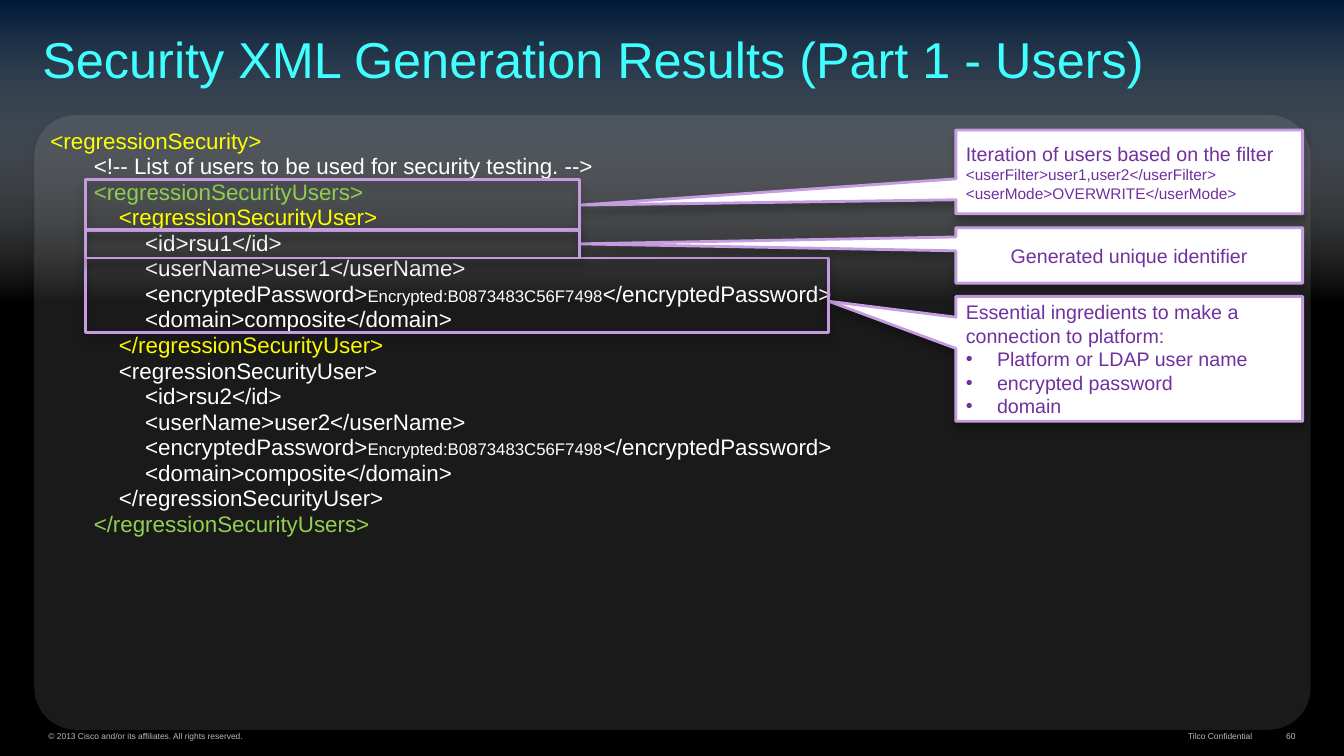
from lxml.etree import SubElement
from pptx import Presentation
from pptx.dml.color import RGBColor as Rgb
from pptx.enum.shapes import MSO_SHAPE as Preset
from pptx.enum.text import MSO_ANCHOR as Anchor, PP_ALIGN as Align
from pptx.oxml.ns import qn
from pptx.util import Inches, Pt

BLACK = Rgb(0x00, 0x00, 0x00)
WHITE = Rgb(0xFF, 0xFF, 0xFF)
NAVY = Rgb(0x00, 0x1A, 0x38)
CYAN = Rgb(0x40, 0xFF, 0xFE)
YELLOW = Rgb(0xFF, 0xFF, 0x00)
GREEN = Rgb(0x92, 0xD0, 0x50)
SILVER = Rgb(0xC0, 0xC0, 0xC0)
LILAC = Rgb(0xC5, 0x9C, 0xDF)
PURPLE = Rgb(0x70, 0x30, 0xA0)


def write(paragraph, text, size=16, color=WHITE, font="Arial"):
    """Add one formatted run to a paragraph."""
    run = paragraph.add_run()
    run.text = text
    run.font.size = Pt(size)
    run.font.name = font
    run.font.color.rgb = color


def set_alpha(color_element, percent):
    """Give a colour element an opacity."""
    SubElement(color_element, qn("a:alpha"), val=str(percent * 1000))


class SlidePainter:
    """Draws styled elements placed in percent of the slide size."""

    def __init__(self, deck):
        """Start a blank slide on black."""
        self.width, self.height = deck.slide_width, deck.slide_height
        self.slide = deck.slides.add_slide(deck.slide_layouts[6])
        self.slide.background.fill.solid()
        self.slide.background.fill.fore_color.rgb = BLACK

    def place(self, left, top, width, height):
        """Turn percentages into slide lengths."""
        return (round(self.width * left / 100), round(self.height * top / 100),
                round(self.width * width / 100), round(self.height * height / 100))

    def shape(self, preset, box, shadow=None):
        """Add a bare shape, with a shadow of opacity, blur and distance."""
        shape = self.slide.shapes.add_shape(preset, *self.place(*box))
        shape.shadow.inherit = False
        shape.line.fill.background()
        if shadow:
            opacity, blur, distance = shadow
            effects = shape._element.spPr.find(qn("a:effectLst"))
            outer = SubElement(effects, qn("a:outerShdw"), blurRad=str(Pt(blur)),
                               dist=str(Pt(distance)), dir="5400000", rotWithShape="0")
            set_alpha(SubElement(outer, qn("a:srgbClr"), val=str(BLACK)), opacity)
        return shape

    def fading_band(self, box):
        """Add a band that fades out downwards."""
        band = self.shape(Preset.RECTANGLE, box)
        band.fill.gradient()
        band.fill.gradient_angle = 270
        for stop, position, color in zip(band.fill.gradient_stops, (0, 1), (NAVY, WHITE)):
            stop.position = position
            stop.color.rgb = color
        set_alpha(band._element.spPr.findall(".//" + qn("a:srgbClr"))[-1], 0)

    def panel(self, box):
        """Add the translucent rounded panel."""
        panel = self.shape(Preset.ROUNDED_RECTANGLE, box, shadow=(44, 10, 5))
        panel.adjustments[0] = 0.068
        panel.fill.solid()
        panel.fill.fore_color.rgb = WHITE
        set_alpha(panel._element.spPr.find(".//" + qn("a:srgbClr")), 10)

    def text_frame(self, box, anchor, inset):
        """Add a text box and return its frame."""
        frame = self.slide.shapes.add_textbox(*self.place(*box)).text_frame
        frame.word_wrap = True
        frame.vertical_anchor = anchor
        frame.margin_left = frame.margin_right = Inches(0.09)
        frame.margin_top = frame.margin_bottom = Inches(inset)
        return frame

    def label(self, box, text, size, color, align=Align.LEFT, spacing=1.0, inset=0.04):
        """Add a line of text at the bottom of its box."""
        line = self.text_frame(box, Anchor.BOTTOM, inset).paragraphs[0]
        line.alignment = align
        line.line_spacing = spacing
        write(line, text, size=size, color=color)

    def listing(self, box, lines):
        """Add indented markup lines made of coloured runs."""
        frame = self.text_frame(box, Anchor.TOP, 0.05)
        for index, (indent, runs) in enumerate(lines):
            line = frame.add_paragraph() if index else frame.paragraphs[0]
            line.line_spacing = 0.95
            line._p.get_or_add_pPr().set("marL", str(Inches(indent)))
            for text, style in runs:
                write(line, text, **style)

    def outline(self, shape):
        """Apply the lilac border."""
        shape.line.color.rgb = LILAC
        shape.line.width = Pt(2)

    def callout(self, box, target, paragraphs, align=Align.LEFT, tip=0.5):
        """Add a callout pointing at the right edge of a framed area."""
        note = self.shape(Preset.RECTANGULAR_CALLOUT, box, shadow=(27, 6, 4))
        left, top, width, height = box
        note.adjustments[0] = (target[0] + target[2] - left) / width - 0.5
        note.adjustments[1] = (target[1] + target[3] * tip - top) / height - 0.5
        note.fill.solid()
        note.fill.fore_color.rgb = WHITE
        self.outline(note)
        note.text_frame.word_wrap = True
        note.text_frame.vertical_anchor = Anchor.MIDDLE
        for index, (bulleted, runs) in enumerate(paragraphs):
            line = note.text_frame.add_paragraph() if index else note.text_frame.paragraphs[0]
            line.alignment = align
            if bulleted:
                properties = line._p.get_or_add_pPr()
                properties.set("marL", str(Inches(0.31)))
                properties.set("indent", str(Inches(-0.31)))
                SubElement(properties, qn("a:buFont"), typeface="Arial")
                SubElement(properties, qn("a:buChar"), char="•")
            for text, size in runs:
                write(line, text, size=size, color=PURPLE)
        area = self.shape(Preset.RECTANGLE, target, shadow=(27, 6, 4))
        area.fill.background()
        self.outline(area)


ROOT, LIST, USER, FIELD = 0.07, 0.5, 0.75, 1.01


def markup(indent, text, color=WHITE):
    """Describe a one-colour markup line."""
    return indent, [(text, {"color": color})]


def user_markup(number, tag_color):
    """Describe the markup of one generated user."""
    return [
        markup(USER, "<regressionSecurityUser>", tag_color),
        markup(FIELD, f"<id>rsu{number}</id>"),
        markup(FIELD, f"<userName>user{number}</userName>"),
        (FIELD, [("<encryptedPassword>", {}),
                 ("Encrypted:B0873483C56F7498", {"size": 12}),
                 ("</encryptedPassword>", {})]),
        markup(FIELD, "<domain>composite</domain>"),
        markup(USER, "</regressionSecurityUser>", tag_color),
    ]


def main():
    """Build and save the slide."""
    deck = Presentation()
    deck.slide_width, deck.slide_height = Inches(13.33), Inches(7.5)
    painter = SlidePainter(deck)
    painter.fading_band((0, 0, 100, 40.13))
    footers = [
        (2.93, 37.43, "© 2013 Cisco and/or its affiliates. All rights reserved.", Align.LEFT),
        (87.32, 6.53, "Tilco Confidential", Align.RIGHT),
        (94.97, 2.1, "60", Align.RIGHT),
    ]
    for left, width, text, align in footers:
        painter.label((left, 96, width, 2.53), text, 6, SILVER, align)
    painter.panel((2.55, 15.2, 94.97, 81.33))
    painter.listing((2.55, 16.4, 97.45, 72.53), [
        markup(ROOT, "<regressionSecurity>", YELLOW),
        markup(LIST, "<!-- List of users to be used for security testing. -->"),
        markup(LIST, "<regressionSecurityUsers>", GREEN),
        *user_markup(1, YELLOW),
        *user_markup(2, WHITE),
        markup(LIST, "</regressionSecurityUsers>", GREEN),
    ])
    painter.label((2.48, 0, 93.85, 12.27), "Security XML Generation Results (Part 1 - Users)",
                  36, CYAN, spacing=0.8, inset=0.05)

    note_left, note_width, area_left = 71.12, 25.8, 6.38
    painter.callout((note_left, 17.2, note_width, 11.07), (area_left, 23.73, 36.76, 6.8), [
        (False, [("Iteration of users based on the filter ", 14),
                 ("<userFilter>user1,user2</userFilter>", 11)]),
        (False, [("<userMode>OVERWRITE</userMode>", 11)]),
    ])
    ingredients = ["Platform or LDAP user name", "encrypted password", "domain"]
    painter.callout((note_left, 39.2, note_width, 16.53), (area_left, 34.13, 55.29, 9.87), [
        (False, [("Essential ingredients to make a connection to platform:", 14)]),
        *[(True, [(ingredient, 14)]) for ingredient in ingredients],
    ], tip=0.58)
    painter.callout((note_left, 30.13, note_width, 7.33), (area_left, 30.4, 36.76, 3.73), [
        (False, [("Generated unique identifier", 14)]),
    ], align=Align.CENTER)
    deck.save("out.pptx")


if __name__ == "__main__":
    main()
